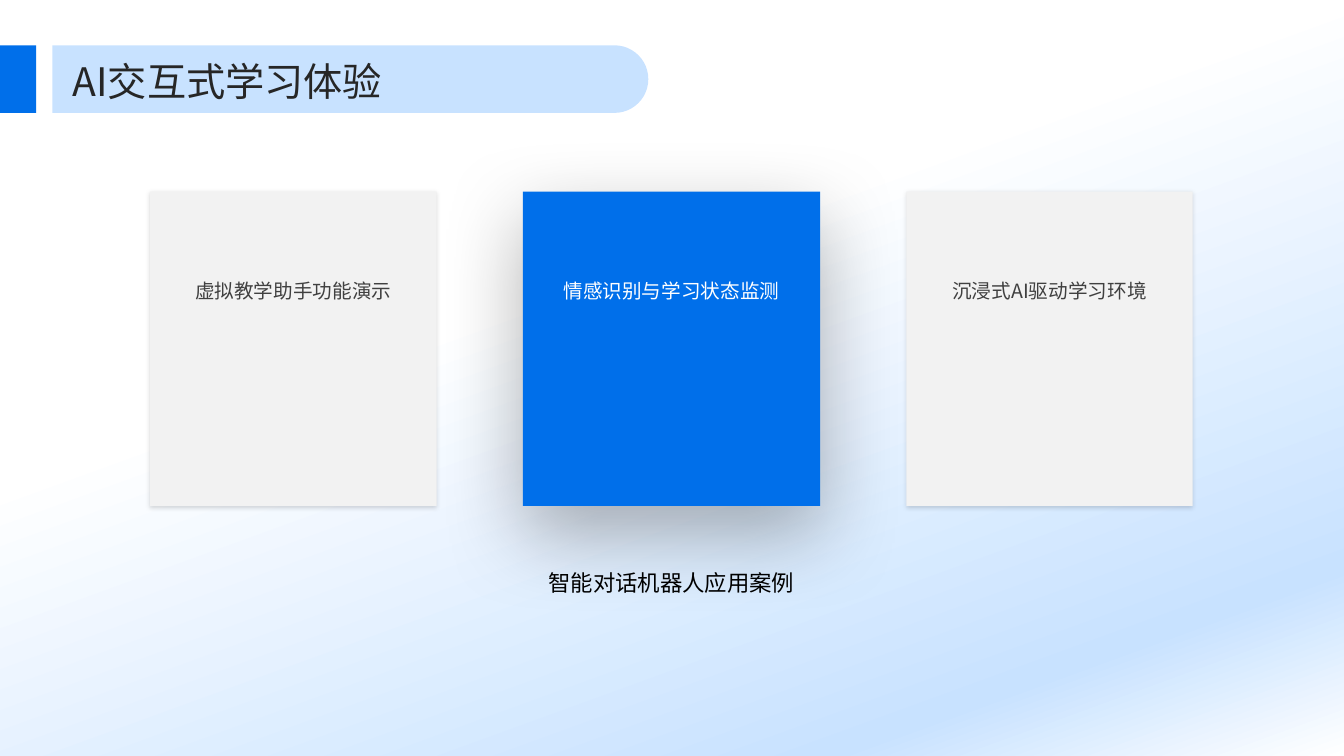
from dataclasses import dataclass

from lxml.etree import SubElement
from pptx import Presentation
from pptx.dml.color import RGBColor
from pptx.enum.shapes import MSO_SHAPE as Preset
from pptx.enum.text import MSO_ANCHOR as Anchor, MSO_AUTO_SIZE as AutoSize, PP_ALIGN as Align
from pptx.oxml.ns import qn
from pptx.shapes.autoshape import Shape
from pptx.slide import Slide
from pptx.text.text import TextFrame
from pptx.util import Inches, Pt


@dataclass(frozen=True)
class Theme:
    font: str = "Noto Sans CJK SC"
    white: str = "FFFFFF"
    blue: str = "006FEA"
    pale_blue: str = "C8E2FF"
    grey: str = "F2F2F2"
    card_text: str = "404040"
    title_text: str = "262626"
    black: str = "000000"
    title_size: int = 28
    caption_size: int = 16
    card_size: int = 14


@dataclass(frozen=True)
class Box:
    left: float
    top: float
    width: float
    height: float

    def lengths(self) -> tuple:
        return tuple(Inches(n) for n in (self.left, self.top, self.width, self.height))


@dataclass(frozen=True)
class Shadow:
    opacity: int
    blur: int
    distance: int


@dataclass(frozen=True)
class Card:
    text: str
    width: float
    fill: str
    color: str
    shadow: Shadow


THEME = Theme()
SOFT = Shadow(opacity=15, blur=3, distance=1)
DEEP = Shadow(opacity=30, blur=60, distance=20)
CARDS = (
    Card("虚拟教学助手功能演示", 2.84, THEME.grey, THEME.card_text, SOFT),
    Card("情感识别与学习状态监测", 2.95, THEME.blue, THEME.white, DEEP),
    Card("沉浸式AI驱动学习环境", 2.84, THEME.grey, THEME.card_text, SOFT),
)
CARD_CENTER, CARD_PITCH, CARD_TOP, CARD_HEIGHT = 6.66, 3.75, 1.9, 3.12
GRADIENT_STOPS = ((1, THEME.white), (39, THEME.white), (85, THEME.pale_blue), (100, THEME.white))


def add_block(slide: Slide, box: Box, fill: str, preset: Preset = Preset.RECTANGLE) -> Shape:
    shape = slide.shapes.add_shape(preset, *box.lengths())
    shape.shadow.inherit = False
    shape.line.fill.background()
    shape.fill.solid()
    shape.fill.fore_color.rgb = RGBColor.from_string(fill)
    return shape


def add_shadow(shape: Shape, shadow: Shadow) -> None:
    effects = shape._element.spPr.find(qn("a:effectLst"))
    outer = SubElement(effects, qn("a:outerShdw"), blurRad=str(Pt(shadow.blur)),
                       dist=str(Pt(shadow.distance)), dir="5400000", algn="ctr", rotWithShape="0")
    color = SubElement(outer, qn("a:srgbClr"), val=THEME.black)
    SubElement(color, qn("a:alpha"), val=str(shadow.opacity * 1000))


def write_text(frame: TextFrame, text: str, size: int, color: str,
               align: Align, spacing: float, anchor: Anchor = Anchor.TOP) -> None:
    frame.word_wrap = True
    frame.auto_size = AutoSize.NONE
    frame.vertical_anchor = anchor
    frame.text = text
    paragraph = frame.paragraphs[0]
    paragraph.alignment = align
    paragraph.line_spacing = spacing
    font = paragraph.font
    font.size = Pt(size)
    font.color.rgb = RGBColor.from_string(color)
    font.name = THEME.font
    # East Asian characters need their own typeface entry
    SubElement(paragraph._p.pPr.find(qn("a:defRPr")), qn("a:ea"), typeface=THEME.font)


def set_margins(frame: TextFrame, left: float, top: float, right: float, bottom: float) -> None:
    frame.margin_left, frame.margin_top = Inches(left), Inches(top)
    frame.margin_right, frame.margin_bottom = Inches(right), Inches(bottom)


def add_background(slide: Slide) -> None:
    backdrop = add_block(slide, Box(0, 0, 13.33, 7.5), THEME.white)
    backdrop.fill.gradient()
    backdrop.fill.gradient_angle = 290
    stops = backdrop._element.spPr.find(f"{qn('a:gradFill')}/{qn('a:gsLst')}")
    for stop in list(stops):
        stops.remove(stop)
    for position, color in GRADIENT_STOPS:
        stop = SubElement(stops, qn("a:gs"), pos=str(position * 1000))
        SubElement(stop, qn("a:srgbClr"), val=color)


def add_card(slide: Slide, card: Card, center: float) -> None:
    box = Box(center - card.width / 2, CARD_TOP, card.width, CARD_HEIGHT)
    shape = add_block(slide, box, card.fill)
    add_shadow(shape, card.shadow)
    set_margins(shape.text_frame, 0.3, 0.8, 0.3, 0.05)
    write_text(shape.text_frame, card.text, THEME.card_size, card.color, Align.CENTER, 1.3)


def add_title(slide: Slide) -> None:
    # Blue tab and banner with a rounded right end
    add_block(slide, Box(0, 0.45, 0.36, 0.67), THEME.blue)
    banner = add_block(slide, Box(3.14, -2.17, 0.67, 5.91), THEME.pale_blue,
                       Preset.ROUND_2_SAME_RECTANGLE)
    banner.rotation = 90
    banner.adjustments[0] = 0.5
    banner.adjustments[1] = 0

    # Title text, brought in front of the banner
    title = slide.shapes.title
    title.left, title.top, title.width, title.height = Box(0.72, 0.52, 11.88, 0.51).lengths()
    set_margins(title.text_frame, 0, 0, 0, 0)
    write_text(title.text_frame, "AI交互式学习体验", THEME.title_size, THEME.title_text,
               Align.LEFT, 1.1, Anchor.MIDDLE)
    slide.shapes._spTree.append(title._element)


def main() -> None:
    presentation = Presentation()
    presentation.slide_width, presentation.slide_height = Inches(13.33), Inches(7.5)
    slide = presentation.slides.add_slide(presentation.slide_layouts.get_by_name("Title Only"))

    add_background(slide)

    # Cards
    for index, card in enumerate(CARDS):
        add_card(slide, card, CARD_CENTER + (index - 1) * CARD_PITCH)

    # Caption
    caption = slide.shapes.add_textbox(*Box(0.72, 5.52, 11.88, 0.69).lengths())
    write_text(caption.text_frame, "智能对话机器人应用案例", THEME.caption_size, THEME.black,
               Align.CENTER, 1.3)

    add_title(slide)
    presentation.save("out.pptx")


if __name__ == "__main__":
    main()
